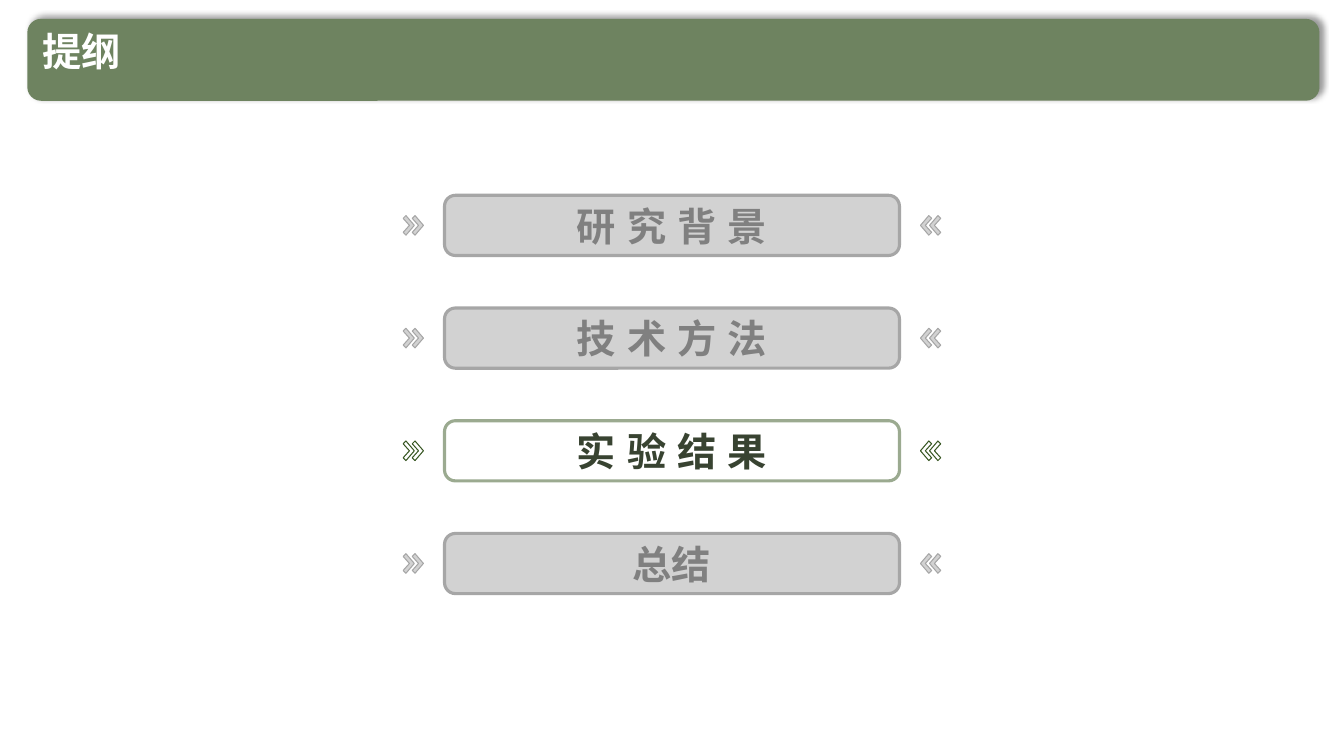
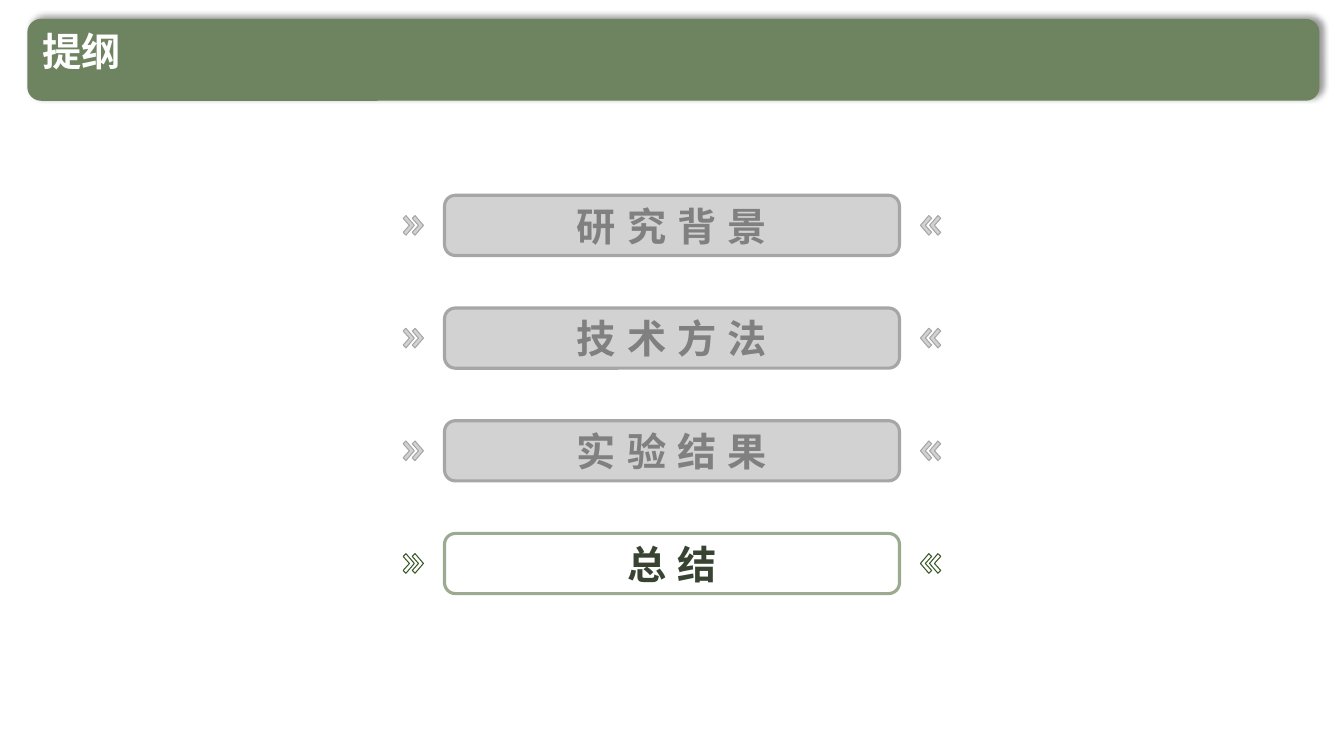
"""Builds two outline slides, each highlighting the current section."""
import dataclasses
import lxml.etree
import pptx
import pptx.dml.color
import pptx.enum.shapes
import pptx.enum.text
import pptx.oxml.ns
import pptx.util

HEADING = "提纲"
OUTLINES = [
    {"current": "实验结果", "sections": [("研究背景", 8), ("技术方法", 8), ("实验结果", 8), ("总结", 0)]},
    {"current": "总结", "sections": [("研究背景", 8), ("技术方法", 8), ("实验结果", 8), ("总结", 8)]},
]


@dataclasses.dataclass(frozen=True)
class SectionStyle:
    text: str
    outline: str
    chevron: str
    fill: str | None = None
    opacity: int = 100


@dataclasses.dataclass(frozen=True)
class Theme:
    font: str = "Noto Sans CJK SC"
    text_size: int = 28
    band: str = "6E8360"
    heading: str = "FFFFFF"
    pill_line: float = 2.25
    chevron_line: float = 0.75
    current: SectionStyle = SectionStyle("384331", "9BAA90", "385723")
    muted: SectionStyle = SectionStyle("808080", "A6A6A6", "A6A6A6", "A6A6A6", 50)


THEME = Theme()
PX = pptx.util.Inches(1) // 144
SLIDE_SIZE = (1920, 1080)
BAND = (39, 27, 1846, 117)
HEADING_BOX = (46, 40, 1594, 89)
PILL_WIDTH, PILL_HEIGHT = 650, 86
PILL_LEFT = (SLIDE_SIZE[0] - PILL_WIDTH) // 2
FIRST_TOP, ROW_PITCH = 279, 161
PILL_ROUNDING = 0.18
CHEVRON_LEFTS = (576, 589)
CHEVRON_HEIGHT = 28
CHEVRON_POINTS = [(4, 0), (0, 4), (9, 14), (0, 24), (4, 28), (16, 14)]


def to_emu(*lengths):
    return [pptx.util.Emu(length * PX) for length in lengths]


def rgb(value):
    return pptx.dml.color.RGBColor.from_string(value)


def add_element(parent, tag, **attributes):
    element = lxml.etree.SubElement(parent, pptx.oxml.ns.qn(tag))
    for name, value in attributes.items():
        element.set(name, str(value))
    return element


def paint(shape, fill=None, opacity=100, line=None, line_width=1):
    shape.shadow.inherit = False
    if fill:
        shape.fill.solid()
        shape.fill.fore_color.rgb = rgb(fill)
        if opacity < 100:
            color = shape.fill._xPr.find(".//" + pptx.oxml.ns.qn("a:srgbClr"))
            add_element(color, "a:alpha", val=opacity * 1000)
    else:
        shape.fill.background()
    if line:
        shape.line.color.rgb = rgb(line)
        shape.line.width = pptx.util.Pt(line_width)
    else:
        shape.line.fill.background()


def write_text(shape, text, *, color, anchor, alignment, tracking=0, line_spacing=1.0):
    frame = shape.text_frame
    frame.word_wrap = True
    frame.vertical_anchor = anchor
    paragraph = frame.paragraphs[0]
    paragraph.alignment = alignment
    paragraph.line_spacing = line_spacing
    run = paragraph.add_run()
    run.text = text
    run.font.size = pptx.util.Pt(THEME.text_size)
    run.font.bold = True
    run.font.color.rgb = rgb(color)
    run.font.name = THEME.font
    properties = run._r.get_or_add_rPr()
    properties.set("spc", str(tracking * 100))
    add_element(properties, "a:ea", typeface=THEME.font)


def add_round_box(shapes, box):
    return shapes.add_shape(pptx.enum.shapes.MSO_SHAPE.ROUNDED_RECTANGLE, *to_emu(*box))


def add_heading(slide):
    band = add_round_box(slide.shapes, BAND)
    paint(band, THEME.band)
    effects = band._element.spPr.find(pptx.oxml.ns.qn("a:effectLst"))
    shadow = add_element(effects, "a:outerShdw", blurRad=pptx.util.Pt(4), dist=pptx.util.Pt(3),
                         dir=315 * 60000, algn="bl", rotWithShape=0)
    add_element(add_element(shadow, "a:srgbClr", val="000000"), "a:alpha", val=40000)
    heading = slide.shapes.add_textbox(*to_emu(*HEADING_BOX))
    write_text(heading, HEADING, color=THEME.heading, anchor=pptx.enum.text.MSO_ANCHOR.TOP,
               alignment=pptx.enum.text.PP_ALIGN.LEFT, line_spacing=0.9)


def add_chevron(shapes, left, top, style, mirrored):
    points = [(left + x, top + y) for x, y in CHEVRON_POINTS]
    if mirrored:
        points = [(SLIDE_SIZE[0] - x, y) for x, y in points]
    builder = shapes.build_freeform(*points[0], scale=PX)
    builder.add_line_segments(points[1:], close=True)
    paint(builder.convert_to_shape(), style.fill, style.opacity, style.chevron, THEME.chevron_line)


def add_section(slide, top, title, tracking, style):
    shapes = slide.shapes.add_group_shape().shapes
    chevron_top = top + (PILL_HEIGHT - CHEVRON_HEIGHT) // 2
    for mirrored in (False, True):
        for left in CHEVRON_LEFTS:
            add_chevron(shapes, left, chevron_top, style, mirrored)
    pill = add_round_box(shapes, (PILL_LEFT, top, PILL_WIDTH, PILL_HEIGHT))
    pill.adjustments[0] = PILL_ROUNDING
    paint(pill, style.fill, style.opacity, style.outline, THEME.pill_line)
    write_text(pill, title, color=style.text, anchor=pptx.enum.text.MSO_ANCHOR.MIDDLE,
               alignment=pptx.enum.text.PP_ALIGN.CENTER, tracking=tracking)


def main():
    presentation = pptx.Presentation()
    presentation.slide_width, presentation.slide_height = to_emu(*SLIDE_SIZE)
    for outline in OUTLINES:
        slide = presentation.slides.add_slide(presentation.slide_layouts[6])
        add_heading(slide)
        for row, (title, tracking) in enumerate(outline["sections"]):
            style = THEME.current if title == outline["current"] else THEME.muted
            add_section(slide, FIRST_TOP + row * ROW_PITCH, title, tracking, style)
    presentation.save("out.pptx")


if __name__ == "__main__":
    main()
